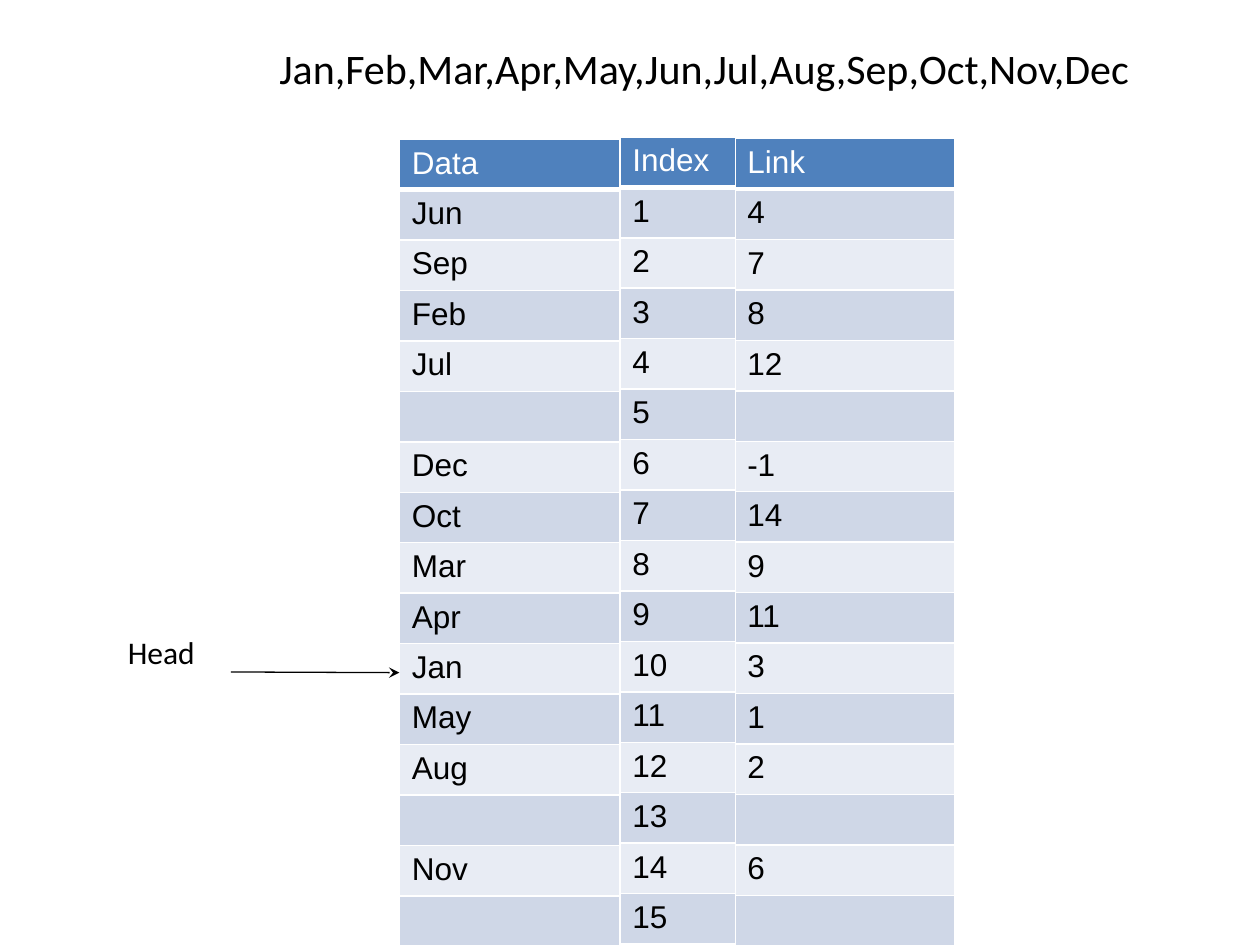
from lxml import etree
from pptx import Presentation
from pptx.dml.color import RGBColor
from pptx.enum import shapes, text
from pptx.oxml import ns
from pptx.util import Pt

HUES = {"ink": "000000", "paper": "FFFFFF", "head": "4F81BD",
        "dark": "CFD7E7", "light": "E8ECF4"}
MONTHS = "Jan,Feb,Mar,Apr,May,Jun,Jul,Aug,Sep,Oct,Nov,Dec"
DATA = ["Jun", "Sep", "Feb", "Jul", "", "Dec", "Oct", "Mar",
        "Apr", "Jan", "May", "Aug", "", "Nov", ""]
LINK = ["4", "7", "8", "12", "", "-1", "14", "9",
        "11", "3", "1", "2", "", "6", ""]
INDEX = [str(n) for n in range(1, 16)]


def hue(name):
    return RGBColor.from_string(HUES[name])


class Deck:
    """Style and current slide, with a method for each kind of element."""

    row = 28.8
    size = 18

    def __init__(self):
        self.file = Presentation()
        self.file.slide_width, self.file.slide_height = Pt(720), Pt(540)
        self.slide = self.file.slides.add_slide(self.file.slide_layouts[6])

    def style(self, par, face, size, name):
        for run in par.runs:
            run.font.name, run.font.size = face, Pt(size)
            run.font.bold = False
            run.font.color.rgb = hue(name)

    def label(self, words, box, size, anchor, align, foot=3.6):
        frame = self.slide.shapes.add_textbox(*map(Pt, box)).text_frame
        frame.word_wrap = True
        frame.vertical_anchor = anchor
        frame.margin_bottom = Pt(foot)
        frame.text = words
        par = frame.paragraphs[0]
        par.alignment = align
        self.style(par, "Calibri", size, "ink")

    def border(self, cell, side, width):
        props = cell._tc.get_or_add_tcPr()
        line = etree.SubElement(props, ns.qn(f"a:ln{side}"), w=str(Pt(width)))
        fill = etree.SubElement(line, ns.qn("a:solidFill"))
        etree.SubElement(fill, ns.qn("a:srgbClr"), val=HUES["paper"])

    def column(self, title, items, left, top, width):
        words = [title] + items
        box = (left, top, width, self.row * len(words))
        grid = self.slide.shapes.add_table(len(words), 1, *map(Pt, box)).table
        for n, word in enumerate(words):
            grid.rows[n].height = Pt(self.row)
            cell = grid.cell(n, 0)
            cell.text = word
            self.style(cell.text_frame.paragraphs[0], "Arial", self.size,
                       "ink" if n else "paper")
            for side in "LRTB":
                thick = (n, side) in ((0, "B"), (1, "T"))
                self.border(cell, side, 3 if thick else 1)
            cell.fill.solid()
            band = "dark" if n % 2 else "light"
            cell.fill.fore_color.rgb = hue(band if n else "head")

    def arrow(self, start, end):
        link = self.slide.shapes.add_connector(
            shapes.MSO_CONNECTOR.STRAIGHT, *map(Pt, start + end))
        link.line.color.rgb = hue("ink")
        link.line.width = Pt(0.75)
        etree.SubElement(link.line._get_or_add_ln(), ns.qn("a:tailEnd"),
                         type="stealth")
        etree.SubElement(link._element.spPr, ns.qn("a:effectLst"))


def main():
    deck = Deck()
    deck.label(MONTHS, (95.8, 18, 613.4, 41.8), 24,
               text.MSO_ANCHOR.MIDDLE, text.PP_ALIGN.CENTER)
    deck.column("Data", DATA, 228.2, 79.5, 126)
    deck.column("Link", LINK, 419.8, 79.2, 126)
    deck.column("Index", INDEX, 354.2, 78.2, 66)
    deck.label("Head", (66, 336, 144, 58.3), deck.size,
               text.MSO_ANCHOR.BOTTOM, text.PP_ALIGN.LEFT, foot=10.8)
    deck.arrow((132, 384), (228.2, 384.4))
    deck.file.save("out.pptx")


if __name__ == "__main__":
    main()
